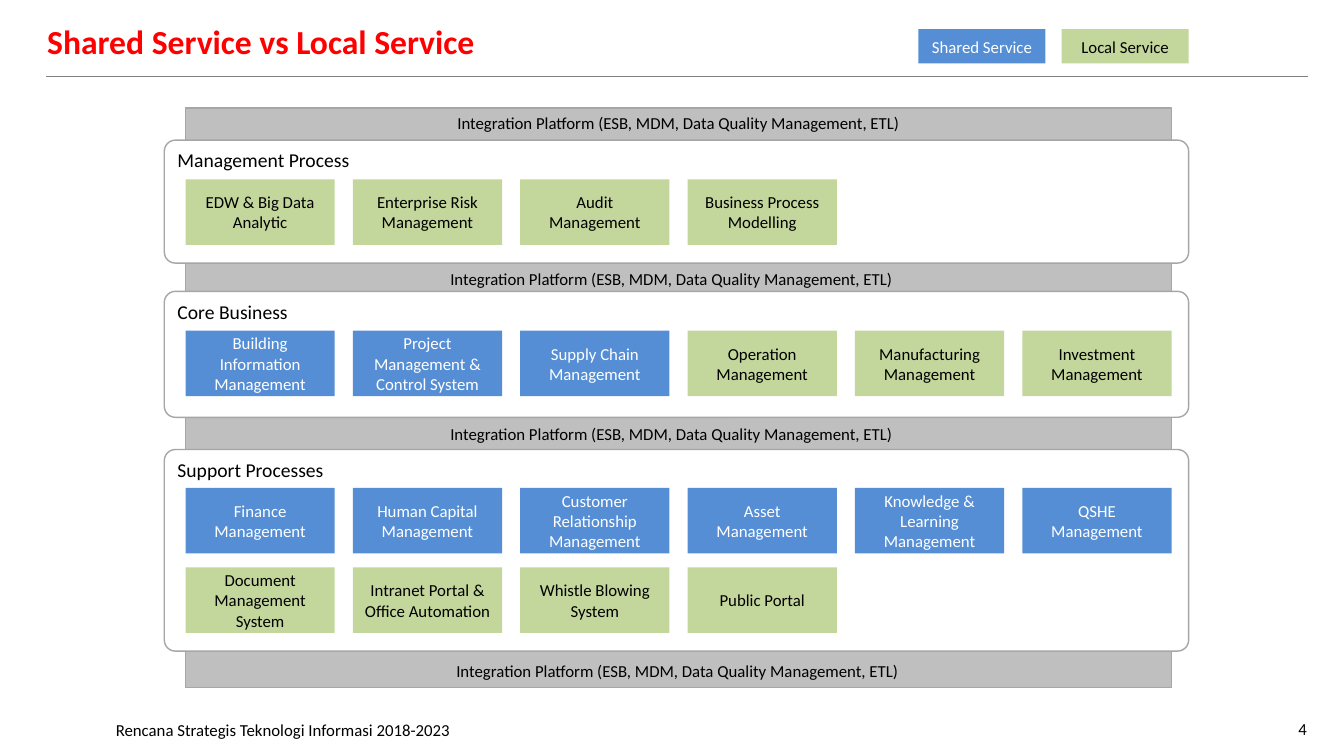
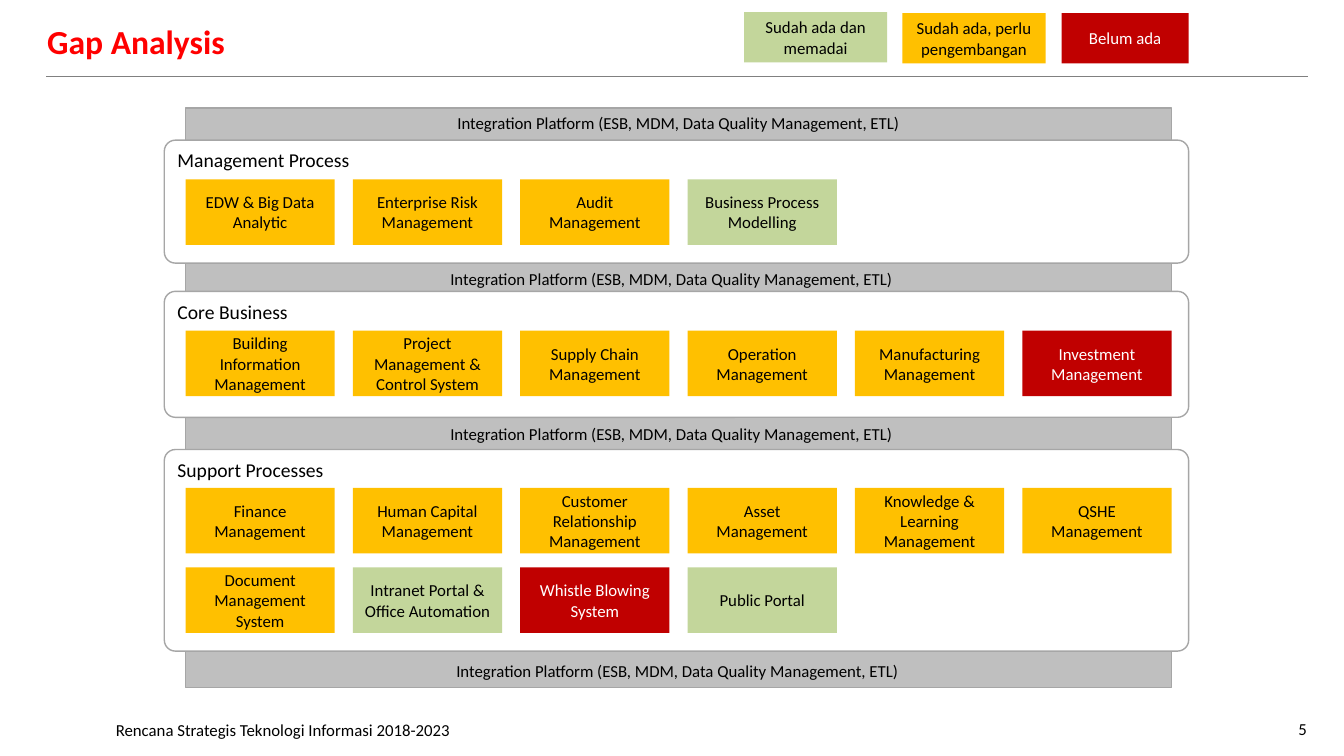
from lxml import etree
from pptx import Presentation
from pptx.dml.color import RGBColor
from pptx.enum.shapes import MSO_CONNECTOR, MSO_SHAPE
from pptx.enum.text import MSO_ANCHOR, PP_ALIGN
from pptx.oxml.ns import qn
from pptx.util import Inches, Pt

# Shared style
FONT = "Calibri"
BLACK, WHITE, RED = "000000", "FFFFFF", "FF0000"
BAND_FILL, BAND_LINE, RULE = "BFBFBF", "A6A6A6", "808080"
BLUE, GREEN, AMBER, DARK_RED = "558ED5", "C3D69B", "FFC000", "C00000"
TEXT_ON = {BLUE: WHITE, GREEN: BLACK, AMBER: BLACK, DARK_RED: WHITE}

FOOTER = "Rencana Strategis Teknologi Informasi 2018-2023"
PLATFORM = "Integration Platform (ESB, MDM, Data Quality Management, ETL)"

# Backdrop and card grid, in inches
BACK_LEFT, BACK_TOP, BACK_WIDTH, BACK_HEIGHT = 1.84, 1.07, 9.78, 5.75
CARD_WIDTH, CARD_HEIGHT, COLUMNS = 1.48, 0.65, 6
COLUMN_STEP = CARD_WIDTH + (BACK_WIDTH - COLUMNS * CARD_WIDTH) / (COLUMNS - 1)
PANEL_LEFT, PANEL_WIDTH, PANEL_RADIUS = 1.63, 10.16, 0.11
LABEL_WIDTH, LABEL_HEIGHT = 5.42, 0.3
PLATFORM_LABELS = [(3.95, 2.62), (3.95, 4.15), (4.01, 6.51)]

# Panels: title, top, height
PANELS = [
    ("Management Process", 1.39, 1.22),
    ("Core Business", 2.89, 1.25),
    ("Support Processes", 4.46, 2),
]

# Card rows: top, then card names
CARD_ROWS = [
    (1.78, ["EDW & Big Data Analytic", "Enterprise Risk Management",
            "Audit Management", "Business Process Modelling"]),
    (3.28, ["Building Information Management",
            "Project Management & Control System",
            "Supply Chain Management", "Operation Management",
            "Manufacturing Management", "Investment Management"]),
    (4.84, ["Finance Management", "Human Capital Management",
            "Customer Relationship Management", "Asset Management",
            "Knowledge & Learning Management", "QSHE Management"]),
    (5.63, ["Document Management System",
            "Intranet Portal & Office Automation",
            "Whistle Blowing System", "Public Portal"]),
]

# Slides: card colours by row, and legend as (text, colour, left, top, width, height)
SLIDES = [
    {
        "title": "Shared Service vs Local Service",
        "number": 4,
        "colors": [[GREEN] * 4, [BLUE] * 3 + [GREEN] * 3, [BLUE] * 6, [GREEN] * 4],
        "legend": [
            ("Shared Service", BLUE, 9.11, 0.29, 1.26, 0.34),
            ("Local Service", GREEN, 10.53, 0.29, 1.26, 0.34),
        ],
    },
    {
        "title": "Gap Analysis",
        "number": 5,
        "colors": [[AMBER] * 3 + [GREEN], [AMBER] * 5 + [DARK_RED], [AMBER] * 6,
                   [AMBER, GREEN, DARK_RED, GREEN]],
        "legend": [
            ("Sudah ada dan memadai", GREEN, 7.38, 0.12, 1.42, 0.5),
            ("Sudah ada, perlu pengembangan", AMBER, 8.95, 0.13, 1.42, 0.5),
            ("Belum ada", DARK_RED, 10.53, 0.13, 1.26, 0.5),
        ],
    },
]


def set_text(shape, text, size=12, color=BLACK, align=PP_ALIGN.CENTER,
             anchor=MSO_ANCHOR.MIDDLE, bold=False):
    frame = shape.text_frame
    frame.word_wrap = True
    frame.vertical_anchor = anchor
    frame.text = text
    paragraph = frame.paragraphs[0]
    paragraph.alignment = align
    paragraph.font.name = FONT
    paragraph.font.size = Pt(size)
    paragraph.font.bold = bold
    paragraph.font.color.rgb = RGBColor.from_string(color)


def add_box(slide, left, top, width, height, fill, line=None, radius=None):
    kind = MSO_SHAPE.RECTANGLE if radius is None else MSO_SHAPE.ROUNDED_RECTANGLE
    shape = slide.shapes.add_shape(
        kind, Inches(left), Inches(top), Inches(width), Inches(height))
    shape.shadow.inherit = False
    shape.fill.solid()
    shape.fill.fore_color.rgb = RGBColor.from_string(fill)
    if line:
        shape.line.color.rgb = RGBColor.from_string(line)
        shape.line.width = Pt(1)
    else:
        shape.line.fill.background()
    if radius is not None:
        shape.adjustments[0] = radius / min(width, height)
    return shape


presentation = Presentation()
presentation.slide_width = Inches(13.33)
presentation.slide_height = Inches(7.5)

for content in SLIDES:
    slide = presentation.slides.add_slide(presentation.slide_layouts[6])

    # Title and rule
    title = slide.shapes.add_textbox(Inches(0.37), Inches(0.13), Inches(12.6), Inches(0.55))
    set_text(title, content["title"], 24, RED, PP_ALIGN.LEFT, bold=True)
    rule = slide.shapes.add_connector(
        MSO_CONNECTOR.STRAIGHT, Inches(0.46), Inches(0.76), Inches(12.97), Inches(0.76))
    rule.line.color.rgb = RGBColor.from_string(RULE)
    rule.line.width = Pt(0.75)
    etree.SubElement(rule._element.spPr, qn("a:effectLst"))

    # Footer and page number
    footer = slide.shapes.add_textbox(Inches(1.05), Inches(7.04), Inches(7.64), Inches(0.4))
    set_text(footer, FOOTER, align=PP_ALIGN.LEFT)
    number = slide.shapes.add_textbox(Inches(12.05), Inches(7.07), Inches(1.01), Inches(0.33))
    set_text(number, str(content["number"]), align=PP_ALIGN.RIGHT)

    # Integration platform behind the panels
    backdrop = add_box(slide, BACK_LEFT, BACK_TOP, BACK_WIDTH, BACK_HEIGHT,
                       BAND_FILL, BAND_LINE)
    set_text(backdrop, PLATFORM, anchor=MSO_ANCHOR.TOP)
    for left, top in PLATFORM_LABELS:
        label = slide.shapes.add_textbox(
            Inches(left), Inches(top), Inches(LABEL_WIDTH), Inches(LABEL_HEIGHT))
        set_text(label, PLATFORM, anchor=MSO_ANCHOR.TOP)

    # Process panels
    for name, top, height in PANELS:
        panel = add_box(slide, PANEL_LEFT, top, PANEL_WIDTH, height,
                        WHITE, BAND_LINE, PANEL_RADIUS)
        set_text(panel, name, 14, align=PP_ALIGN.LEFT, anchor=MSO_ANCHOR.TOP)

    # Application cards
    for (top, names), colors in zip(CARD_ROWS, content["colors"]):
        for column, (name, color) in enumerate(zip(names, colors)):
            card = add_box(slide, BACK_LEFT + column * COLUMN_STEP, top,
                           CARD_WIDTH, CARD_HEIGHT, color)
            set_text(card, name, color=TEXT_ON[color])

    # Legend
    for name, color, left, top, width, height in content["legend"]:
        key = add_box(slide, left, top, width, height, color)
        set_text(key, name, color=TEXT_ON[color])

presentation.save("out.pptx")
